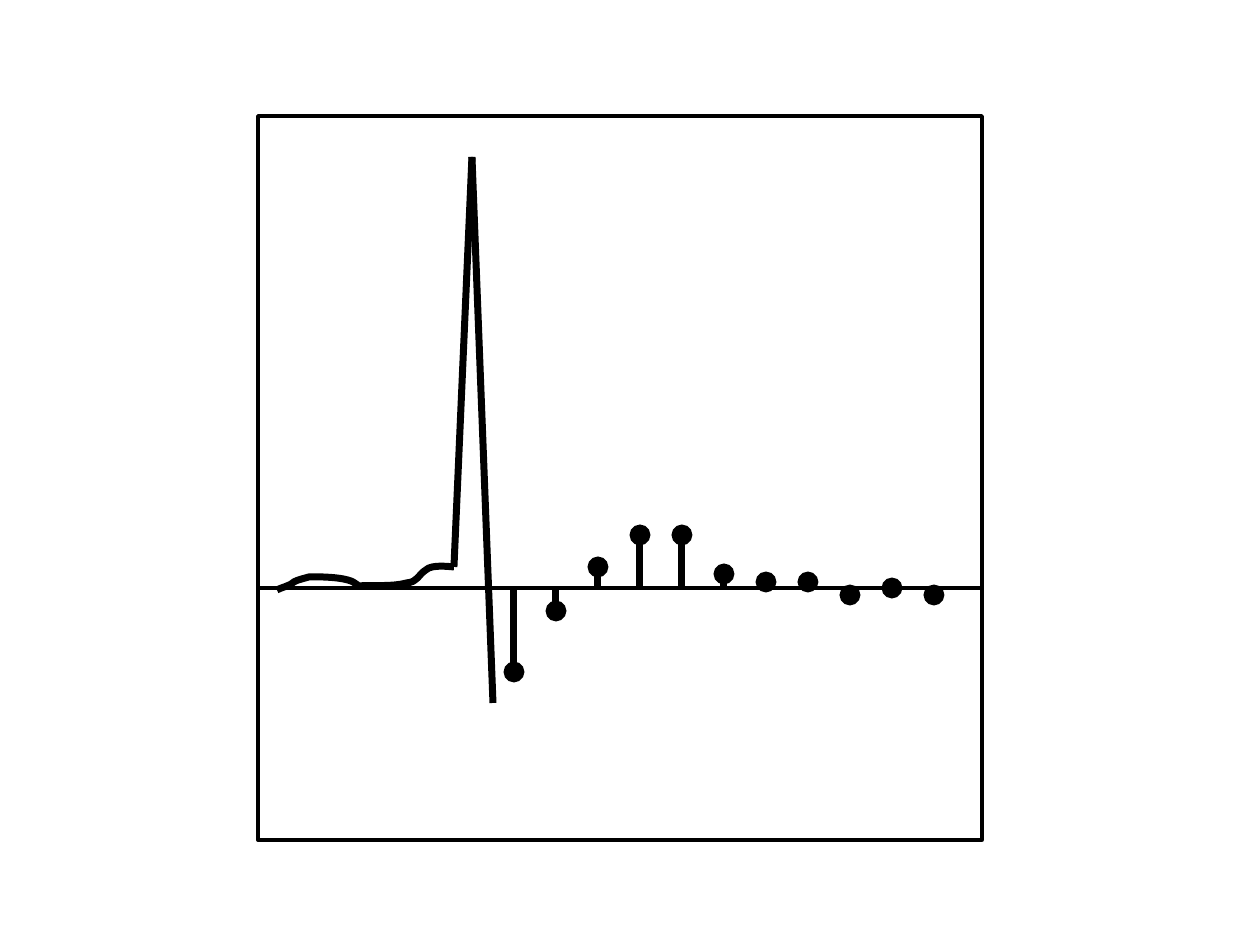
from dataclasses import dataclass
from itertools import pairwise
from typing import Any

from lxml.etree import SubElement
from pptx import Presentation
from pptx.dml.color import RGBColor
from pptx.enum.shapes import MSO_CONNECTOR, MSO_SHAPE
from pptx.oxml.ns import qn
from pptx.util import Emu, Pt

PIXEL = 914400 // 126  # EMU per pixel
Point = tuple[int, int]


@dataclass(frozen=True)
class Theme:
    ink: RGBColor = RGBColor(0, 0, 0)
    thin: Pt = Pt(2)
    thick: Pt = Pt(4)


@dataclass(frozen=True)
class Segment:
    start: Point
    end: Point
    width: Pt
    dot: bool = False


THEME = Theme()
FRAME_LEFT, FRAME_TOP, FRAME_SIZE = 258, 116, 724
AXIS_Y = 588
STEM_BASE, STEM_START, STEM_GAP = 589, 514, 42
STEM_TIPS = (672, 611, 567, 535, 535, 574, 582, 582, 595, 588, 595)
SPIKE: tuple[Point, ...] = ((454, 567), (472, 157), (493, 703))

# Start point, then two control points and an end point for each curve
WAVE: tuple[Point, ...] = (
    (277, 590),
    (281, 588), (285, 587), (287, 586),
    (290, 585), (292, 584), (294, 582),
    (297, 580), (306, 578), (309, 577),
    (310, 577), (341, 576), (353, 582),
    (355, 583), (357, 585), (359, 586),
    (375, 585), (392, 587), (407, 583),
    (418, 582), (418, 575), (426, 570),
    (432, 564), (451, 567), (454, 567),
)


def px(value: int) -> Emu:
    return Emu(value * PIXEL)


def style_line(shape: Any, width: Pt) -> None:
    shape.line.color.rgb = THEME.ink
    for name, value in {"width": width}.items():
        setattr(shape.line, name, value)


def style_outline(shape: Any, width: Pt) -> None:
    shape.shadow.inherit = False
    shape.fill.background()
    style_line(shape, width)


def add_segment(shapes: Any, segment: Segment) -> None:
    connector = shapes.add_connector(
        MSO_CONNECTOR.STRAIGHT, *map(px, segment.start + segment.end))
    style_line(connector, segment.width)
    if segment.dot:
        SubElement(connector.line._get_or_add_ln(), qn("a:tailEnd"), type="oval")
    SubElement(connector._element.spPr, qn("a:effectLst"))


def add_curve(shapes: Any, points: tuple[Point, ...], width: Pt) -> None:
    builder = shapes.build_freeform(*points[0], scale=PIXEL)
    builder.add_line_segments(points[1:], close=False)
    shape = builder.convert_to_shape()
    style_outline(shape, width)
    # Join each three straight steps into one cubic curve
    outline = shape._element.find(".//" + qn("a:path"))
    steps = outline.findall(qn("a:lnTo"))
    for first in range(0, len(steps), 3):
        curve = SubElement(outline, qn("a:cubicBezTo"))
        for step in steps[first:first + 3]:
            curve.append(step[0])
            outline.remove(step)


presentation = Presentation()
for name, value in {"slide_width": px(1260), "slide_height": px(945)}.items():
    setattr(presentation, name, value)
slide = presentation.slides.add_slide(presentation.slide_layouts[6])
plot = slide.shapes.add_group_shape().shapes

# Frame and axis
frame = plot.add_shape(
    MSO_SHAPE.RECTANGLE, *map(px, (FRAME_LEFT, FRAME_TOP, FRAME_SIZE, FRAME_SIZE)))
style_outline(frame, THEME.thin)
add_segment(plot, Segment(
    (FRAME_LEFT, AXIS_Y), (FRAME_LEFT + FRAME_SIZE, AXIS_Y), THEME.thin))

# Wave and spike
add_curve(plot, WAVE, THEME.thick)
for start, end in pairwise(SPIKE):
    add_segment(plot, Segment(start, end, THEME.thick))

# Sampled stems
for index, tip in enumerate(STEM_TIPS):
    x = STEM_START + index * STEM_GAP
    add_segment(plot, Segment((x, STEM_BASE), (x, tip), THEME.thick, dot=True))

presentation.save("out.pptx")
